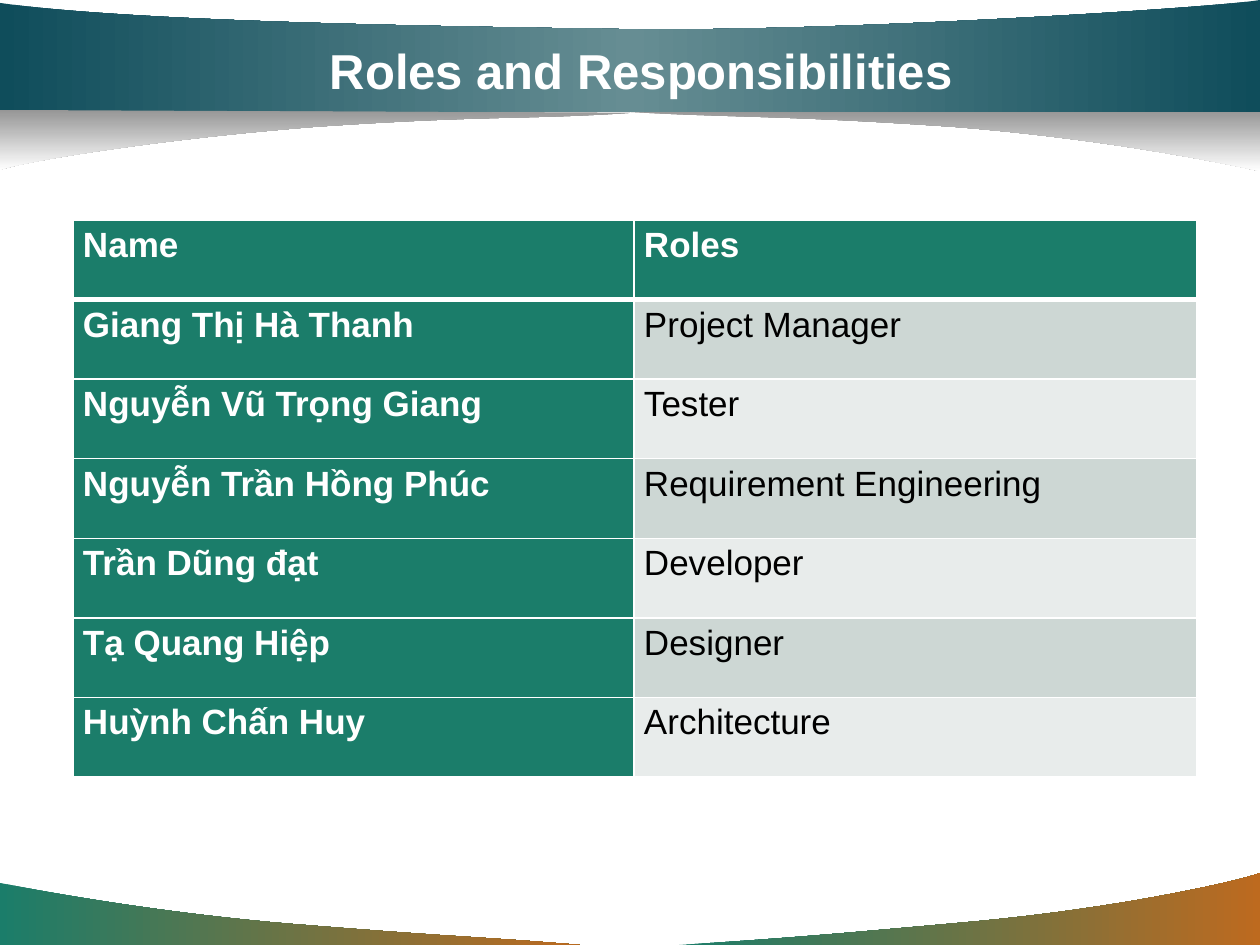
from lxml.etree import SubElement
from pptx import Presentation
from pptx.dml.color import RGBColor
from pptx.enum.text import MSO_ANCHOR, PP_ALIGN
from pptx.oxml.ns import qn
from pptx.util import Emu, Pt

SCALE = 914400 / 126
WHITE, BLACK, GREEN, ORANGE = "FFFFFF", "000000", "1B7D6A", "BD6A1F"
TEAL, PALE_TEAL, GREY = "0F4D5B", "668D93", "969696"
ROW_FILLS = ("CDD7D4", "E8ECEB")

FOOTER = {"stops": (GREEN, ORANGE), "angle": 0}
SHADOW = {"stops": (GREY, WHITE), "angle": 270}
BAND = {"stops": (TEAL, PALE_TEAL, TEAL), "angle": 0}
SWOOSHES = [
    ((580, 945), [(484, 937), (451, 937), (292, 924),
                  (134, 911), (1, 883), (0, 883)], [(0, 945)], FOOTER),
    ((679, 945), [(774, 939), (814, 936), (969, 922),
                  (1124, 908), (1247, 879), (1260, 873)], [(1260, 945)], FOOTER),
    ((630, 112), [(736, 118), (781, 115), (955, 127),
                  (1131, 141), (1257, 171), (1260, 171)], [(1260, 111)], SHADOW),
    ((1260, 0), [(1215, 8), (823, 33), (614, 29),
                 (404, 26), (127, 21), (0, 3)], [(0, 112), (1260, 112)], BAND),
    ((630, 113), [(524, 120), (489, 115), (314, 127),
                  (139, 141), (14, 164), (0, 170)], [(0, 110)], SHADOW),
]
ROLES = [
    ("Name", "Roles"),
    ("Giang Thị Hà Thanh", "Project Manager"),
    ("Nguyễn Vũ Trọng Giang", "Tester"),
    ("Nguyễn Trần Hồng Phúc", "Requirement Engineering"),
    ("Trần Dũng đạt", "Developer"),
    ("Tạ Quang Hiệp", "Designer"),
    ("Huỳnh Chấn Huy", "Architecture"),
]


def px(length):
    """Turn pixels into EMU."""
    return Emu(round(length * SCALE))


def color(value):
    """Turn a hex string into a colour."""
    return RGBColor.from_string(value)


def write(frame, text, size=20, ink=WHITE, bold=True, align=PP_ALIGN.LEFT,
          spacing=None, after=None):
    """Write one formatted paragraph into a text frame."""
    para = frame.paragraphs[0]
    para.alignment, para.line_spacing = align, spacing
    para.space_after = after
    span = para.add_run()
    span.text = text
    span.font.name, span.font.size, span.font.bold = "Arial", Pt(size), bold
    span.font.color.rgb = color(ink)


def bend_edges(shape, count):
    """Turn each three of the first edges into one cubic curve."""
    edges = list(shape.element.iter(qn("a:lnTo")))[:count]
    for index in range(0, count, 3):
        curve, *others = edges[index:index + 3]
        curve.tag = qn("a:cubicBezTo")
        for edge in others:
            curve.append(edge[0])
            curve.getparent().remove(edge)


def fill_gradient(shape, stops, angle):
    """Fill a shape with evenly spaced gradient stops."""
    shape.fill.gradient()
    shape.fill.gradient_angle = angle
    stop_list = next(shape.element.iter(qn("a:gsLst")))
    stop_list.clear()
    for index, value in enumerate(stops):
        position = 100000 * index // (len(stops) - 1)
        stop = SubElement(stop_list, qn("a:gs"), pos=str(position))
        SubElement(stop, qn("a:srgbClr"), val=value)


def add_swoosh(page, start, controls, corners, gradient):
    """Draw a curved band closed by straight edges."""
    points = [(px(x), px(y)) for x, y in [start] + controls + corners]
    builder = page.shapes.build_freeform(*points[0])
    builder.add_line_segments(points[1:], close=True)
    shape = builder.convert_to_shape()
    bend_edges(shape, len(controls))
    shape.shadow.inherit = False
    shape.line.fill.background()
    fill_gradient(shape, **gradient)


def add_title(page, text):
    """Place the centred slide title."""
    box = page.shapes.add_textbox(px(94), px(31), px(1081), px(78))
    box.text_frame.word_wrap = True
    box.text_frame.vertical_anchor = MSO_ANCHOR.MIDDLE
    write(box.text_frame, text, size=28, align=PP_ALIGN.CENTER)


def set_borders(cell, **widths):
    """Give a cell white borders with widths in points."""
    properties = cell._tc.get_or_add_tcPr()
    for side, width in widths.items():
        line = SubElement(properties, qn(f"a:ln{side}"), w=str(Pt(width)))
        SubElement(SubElement(line, qn("a:solidFill")), qn("a:srgbClr"), val=WHITE)


def format_cell(cell, text, row, column):
    """Write and style one cell by its place in the table."""
    heading = row == 0 or column == 0
    cell.margin_left = cell.margin_right = px(10)
    cell.margin_top = cell.margin_bottom = 0
    set_borders(cell, L=1, R=1, T=3 if row == 1 else 1, B=3 if row == 0 else 1)
    cell.fill.solid()
    cell.fill.fore_color.rgb = color(GREEN if heading else ROW_FILLS[(row - 1) % 2])
    write(cell.text_frame, text, ink=WHITE if heading else BLACK, bold=heading,
          spacing=1.15, after=Pt(10))


def add_roles_table(page, rows):
    """Place the table of names and roles."""
    table = page.shapes.add_table(len(rows), 2, px(73), px(220),
                                  px(1124), px(557)).table
    for column, width in zip(table.columns, (561, 563)):
        column.width = px(width)
    for row, texts in enumerate(rows):
        for column, text in enumerate(texts):
            format_cell(table.cell(row, column), text, row, column)


def main():
    """Build and save the slide."""
    deck = Presentation()
    deck.slide_width, deck.slide_height = px(1260), px(945)
    page = deck.slides.add_slide(deck.slide_layouts[6])
    for swoosh in SWOOSHES:
        add_swoosh(page, *swoosh)
    add_title(page, " Roles and Responsibilities")
    add_roles_table(page, ROLES)
    deck.save("out.pptx")


if __name__ == "__main__":
    main()
